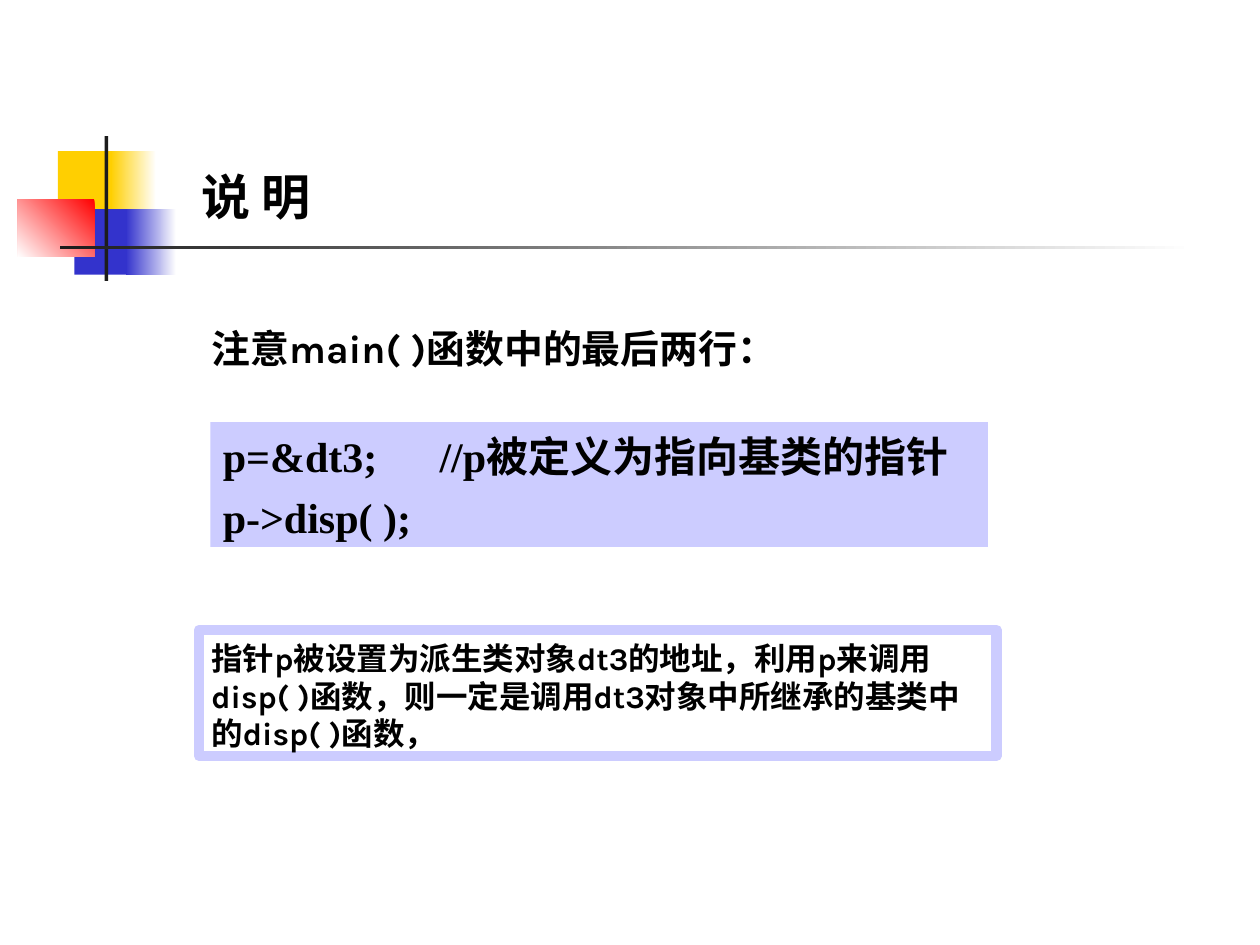
from pptx import Presentation
from pptx.dml.color import RGBColor
from pptx.enum.shapes import MSO_SHAPE
from pptx.enum.text import MSO_ANCHOR, PP_ALIGN
from pptx.oxml import parse_xml
from pptx.oxml.ns import nsdecls
from pptx.util import Inches, Pt

COLORS = {
    "white": "FFFFFF", "black": "000000", "gold": "FFCF01", "blue": "3333CC",
    "red": "FF0000", "dark": "1C1C1C", "lilac": "CCCCFF",
}
HAN, KARLA, TIMES = "Noto Sans CJK SC", "Karla", "Times New Roman"


def add_rect(left, top, width, height, fill=None, end=None, angle=180):
    """Add a borderless rectangle; with end given, fade from fill to end."""
    rect = slide.shapes.add_shape(MSO_SHAPE.RECTANGLE, Inches(left), Inches(top),
                                  Inches(width), Inches(height))
    rect.shadow.inherit = False
    rect.line.fill.background()
    if end:
        rect.fill.gradient()
        rect.fill.gradient_angle = angle
        for stop, name in zip(rect.fill.gradient_stops, (fill, end)):
            stop.color.rgb = RGBColor.from_string(COLORS[name])
    elif fill:
        rect.fill.solid()
        rect.fill.fore_color.rgb = RGBColor.from_string(COLORS[fill])
    else:
        rect.fill.background()
    return rect


def write(shape, size, lines, anchor=MSO_ANCHOR.TOP, align=PP_ALIGN.LEFT):
    """Fill a shape with lines, each a list of (text, font) runs."""
    frame = shape.text_frame
    frame.word_wrap = True
    frame.vertical_anchor = anchor
    frame.margin_top = Inches(0.07)
    for i, runs in enumerate(lines):
        para = frame.add_paragraph() if i else frame.paragraphs[0]
        para.alignment = align
        para.line_spacing = Pt(size * 1.2)
        para.space_before = Pt(6 if i else 0)
        for text, font in runs:
            run = para.add_run()
            run.text = text
            run.font.name = font
            run.font.size = Pt(size)
            run.font.bold = True
            run.font.color.rgb = RGBColor.from_string(COLORS["black"])
            latin = run.font._element.find("{*}latin")
            latin.addnext(parse_xml(f'<a:ea {nsdecls("a")} typeface="{HAN}"/>'))


deck = Presentation()
deck.slide_width, deck.slide_height = Inches(10), Inches(7.5)
slide = deck.slides.add_slide(deck.slide_layouts[6])

# Corner ornament and title rule
add_rect(0.46, 1.2, 0.48, 0.52, "gold")
add_rect(0.88, 1.2, 0.36, 0.52, "white", "gold")
add_rect(0.59, 1.66, 0.46, 0.52, "blue")
add_rect(1, 1.66, 0.4, 0.52, "white", "blue")
add_rect(0.14, 1.58, 0.61, 0.46, "red", "white", 225)
add_rect(0.83, 1.08, 0.03, 1.15, "dark")
add_rect(0.48, 1.95, 9, 0.03, "white", "dark")

# Heading and lead-in
intro = slide.shapes.add_textbox(Inches(1.58), Inches(2.42), Inches(5.25), Inches(0.67))
write(intro, 22.2, [[("注意main( )函数中的最后两行：", KARLA)]],
      MSO_ANCHOR.MIDDLE, PP_ALIGN.JUSTIFY)
title = slide.shapes.add_textbox(Inches(1.5), Inches(1.25), Inches(1.75), Inches(0.57))
write(title, 28, [[("说 明", TIMES)]])

# Code, with the comment set at a tab stop
code = add_rect(1.67, 3.35, 6.17, 0.99, "lilac")
write(code, 24, [[("p=&dt3;\t//p被定义为指向基类的指针", TIMES)],
                 [("p->disp( );", TIMES)]])
first = code.text_frame.paragraphs[0]._p.get_or_add_pPr()
first.append(parse_xml(f'<a:tabLst {nsdecls("a")}>'
                       f'<a:tab pos="{Inches(1.72)}" algn="l"/></a:tabLst>'))

# Framed explanation
note = add_rect(1.58, 5, 6.33, 1)
note.line.color.rgb = RGBColor.from_string(COLORS["lilac"])
note.line.width = Pt(6)
write(note, 18, [[
    ("指针", HAN), ("p", KARLA), ("被设置为派生类对象", HAN), ("dt3", KARLA),
    ("的地址，利用", HAN), ("p", KARLA), ("来调用", HAN), ("disp( )", KARLA),
    ("函数，则一定是调用", HAN), ("dt3", KARLA), ("对象中所继承的基类中的", HAN),
    ("disp( )", KARLA), ("函数，", HAN),
]])

deck.save("out.pptx")
